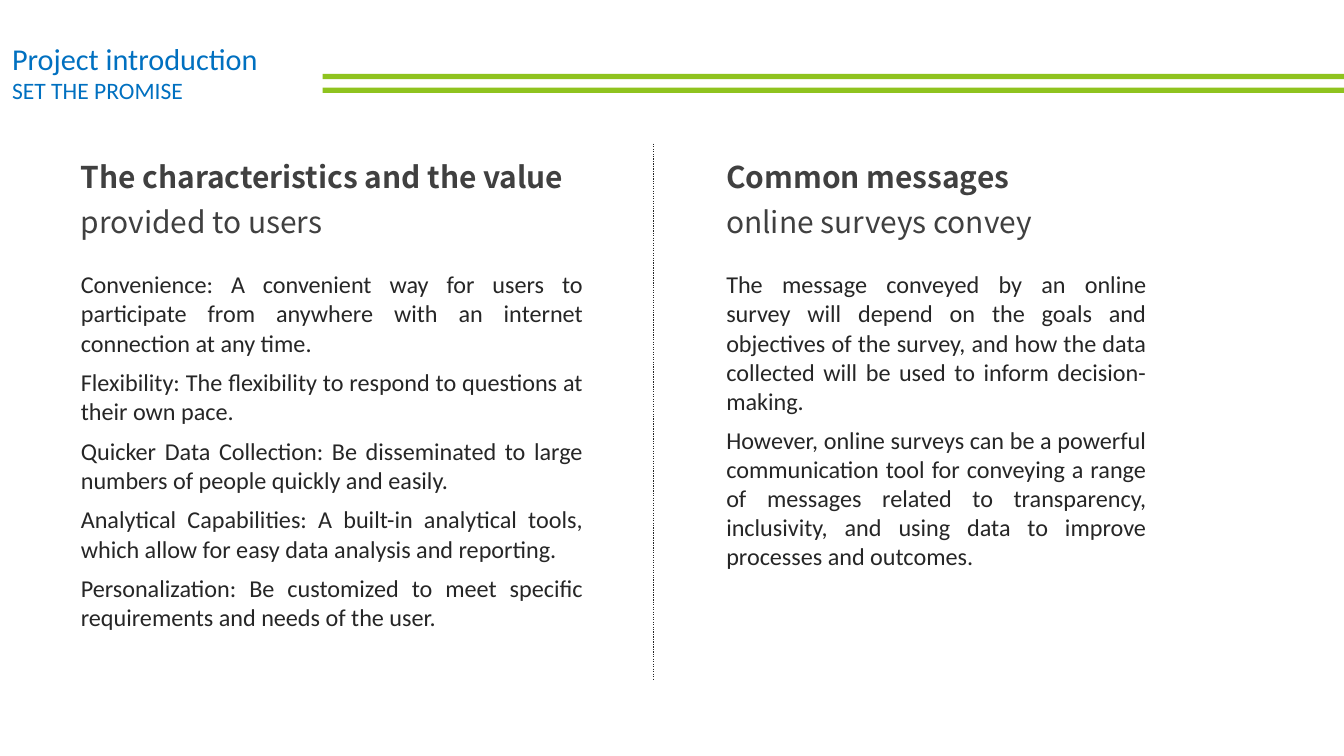
from dataclasses import dataclass

from lxml import etree
from pptx import Presentation
from pptx.dml.color import RGBColor
from pptx.enum.dml import MSO_LINE
from pptx.enum.shapes import MSO_CONNECTOR, MSO_SHAPE
from pptx.enum.text import MSO_ANCHOR, MSO_AUTO_SIZE, PP_ALIGN
from pptx.oxml.ns import qn
from pptx.util import Inches, Pt

RECT = MSO_SHAPE.RECTANGLE
STRAIGHT = MSO_CONNECTOR.STRAIGHT
DOTS = MSO_LINE.ROUND_DOT
TOP = MSO_ANCHOR.TOP
FIXED = MSO_AUTO_SIZE.NONE
LEFT, JUSTIFY = PP_ALIGN.LEFT, PP_ALIGN.JUSTIFY
TITLE_ONLY = 5
WIDTH, HEIGHT = 11.11, 6.25


@dataclass(frozen=True)
class Theme:
    blue: str = "0070C0"
    green: str = "8FC31F"
    gray: str = "404040"
    ink: str = "262626"
    text_font: str = "Calibri"
    head_font: str = "Noto Sans CJK SC"
    title: float = 18
    sub: float = 14
    head: float = 17.8
    body: float = 14.4


class Page:
    """Draws on one slide; lengths are percent of its width and height."""

    def __init__(self, deck, theme):
        self.theme = theme
        self.slide = deck.slides.add_slide(deck.slide_layouts[TITLE_ONLY])
        self.shapes = self.slide.shapes

    def box(self, x, y, w, h):
        return (Inches(x * WIDTH / 100), Inches(y * HEIGHT / 100),
                Inches(w * WIDTH / 100), Inches(h * HEIGHT / 100))

    def set_text(self, shape, lines, sizes, font, color, bolds=(False, False),
                 align=LEFT, spacing=1.0, after=0):
        frame = shape.text_frame
        frame.text = "\n".join(lines)
        frame.word_wrap = True
        frame.auto_size = FIXED
        frame.vertical_anchor = TOP
        for i, para in enumerate(frame.paragraphs):
            para.alignment = align
            para.line_spacing = spacing
            para.space_after = Pt(after)
            para.font.name = font
            para.font.size = Pt(sizes[i % len(sizes)])
            para.font.bold = bolds[i % len(bolds)]
            para.font.color.rgb = RGBColor.from_string(color)

    def title(self, lines, *area):
        t = self.theme
        shape = self.shapes.title
        shape.left, shape.top, shape.width, shape.height = self.box(*area)
        self.set_text(shape, lines, (t.title, t.sub), t.text_font, t.blue)

    def head(self, lines, *area):
        t = self.theme
        self.set_text(self.shapes.add_textbox(*self.box(*area)), lines,
                      (t.head,), t.head_font, t.gray, bolds=(True, False),
                      spacing=1.25)

    def body(self, lines, *area):
        t = self.theme
        self.set_text(self.shapes.add_textbox(*self.box(*area)), lines,
                      (t.body,), t.text_font, t.ink, align=JUSTIFY, after=6.3)

    def bar(self, *area):
        shape = self.shapes.add_shape(RECT, *self.box(*area))
        shape.shadow.inherit = False
        shape.fill.solid()
        shape.fill.fore_color.rgb = RGBColor.from_string(self.theme.green)
        shape.line.fill.background()

    def divide(self, x, top, bottom):
        """Draw a dotted vertical line."""
        left, start, _, end = self.box(x, top, 0, bottom)
        rule = self.shapes.add_connector(STRAIGHT, left, start, left, end)
        rule.line.color.rgb = RGBColor.from_string(self.theme.ink)
        rule.line.width = Pt(0.75)
        rule.line.dash_style = DOTS
        etree.SubElement(rule._element.spPr, qn("a:effectLst"))


COLUMNS = [
    (5.13, 39.15,
     ["The characteristics and the value", "provided to users"],
     ["Convenience: A convenient way for users to participate from anywhere "
      "with an internet connection at any time.",
      "Flexibility: The flexibility to respond to questions at their own pace.",
      "Quicker Data Collection: Be disseminated to large numbers of people "
      "quickly and easily.",
      "Analytical Capabilities: A built-in analytical tools, which allow for "
      "easy data analysis and reporting.",
      "Personalization: Be customized to meet specific requirements and needs "
      "of the user."]),
    (53.15, 33.03,
     ["Common messages", "online surveys convey"],
     ["The message conveyed by an online survey will depend on the goals and "
      "objectives of the survey, and how the data collected will be used to "
      "inform decision-making.",
      "However, online surveys can be a powerful communication tool for "
      "conveying a range of messages related to transparency, inclusivity, "
      "and using data to improve processes and outcomes."]),
]


def main():
    deck = Presentation()
    deck.slide_width, deck.slide_height = Inches(WIDTH), Inches(HEIGHT)
    page = Page(deck, Theme())
    page.title(["Project introduction", "SET THE PROMISE"], 0, 4.5, 31.1, 10.2)
    for y in (9.76, 11.6):
        page.bar(24, y, 76, 0.7)
    page.divide(48.6, 19, 90)
    for x, width, head, body in COLUMNS:
        page.head(head, x, 19, 39.9, 13)
        page.body(body, x, 34.9, width, 50)
    deck.save("out.pptx")


if __name__ == "__main__":
    main()
